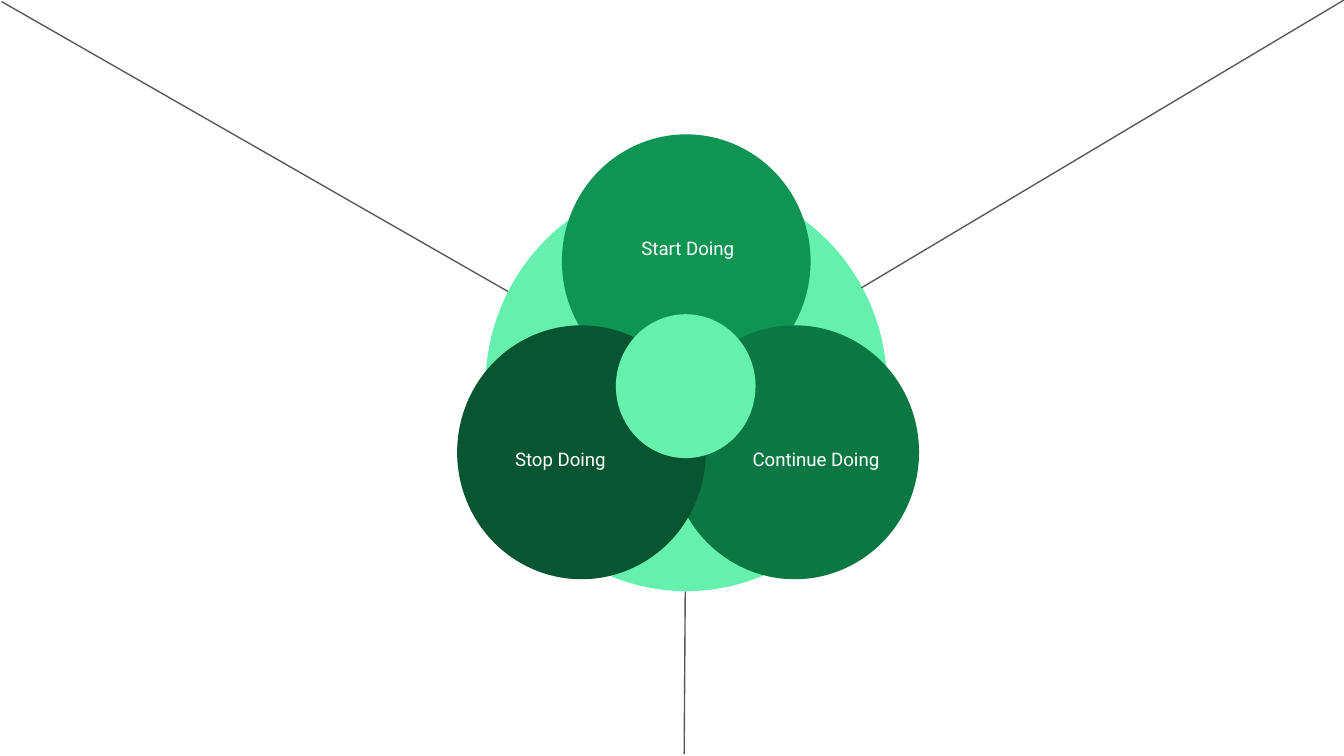
from lxml import etree
from pptx import Presentation
from pptx.dml.color import RGBColor
from pptx.enum.shapes import MSO_CONNECTOR, MSO_SHAPE
from pptx.enum.text import MSO_ANCHOR, PP_ALIGN
from pptx.oxml.ns import qn
from pptx.util import Cm, Pt

OVAL = MSO_SHAPE.OVAL
STRAIGHT = MSO_CONNECTOR.STRAIGHT
MIDDLE = MSO_ANCHOR.MIDDLE
CENTER = PP_ALIGN.CENTER

THEME = {
    "mint": RGBColor.from_string("65F0AD"),
    "start": RGBColor.from_string("0E9453"),
    "continue": RGBColor.from_string("0B7743"),
    "stop": RGBColor.from_string("085631"),
    "text": RGBColor.from_string("FFFFFF"),
    "line": RGBColor.from_string("595959"),
    "font": "Roboto",
    "size": Pt(10),
    "line_width": Pt(0.75),
}

SLIDE_SIZE = (25.4, 14.29)
BASE = (12.97, 7.3, 7.59, 7.75)
HUB = (12.96, 7.3, 2.64, 2.72)
PETAL_SIZE = (4.7, 4.8)
LABEL_SIZE = (3.25, 1.55)
PETALS = [
    {"text": "Start Doing", "color": "start", "center": (12.97, 4.94), "label": (13.0, 4.69)},
    {"text": "Continue Doing", "color": "continue", "center": (15.02, 8.55), "label": (15.42, 8.68)},
    {"text": "Stop Doing", "color": "stop", "center": (10.99, 8.55), "label": (10.59, 8.68)},
]
DIVIDERS = [
    ((0.03, 0.03), (9.6, 5.51)),
    ((25.4, 0), (16.28, 5.44)),
    ((12.95, 11.18), (12.93, 14.25)),
]


def centered(x, y, w, h):
    return Cm(x - w / 2), Cm(y - h / 2), Cm(w), Cm(h)


def apply(obj, values):
    for name, value in values.items():
        setattr(obj, name, value)


def add_circle(s, x, y, w, h, color):
    sp = s.shapes.add_shape(OVAL, *centered(x, y, w, h))
    sp.shadow.inherit = False
    sp.fill.solid()
    sp.fill.fore_color.rgb = THEME[color]
    sp.line.fill.background()


def add_label(s, x, y, text):
    sp = s.shapes.add_textbox(*centered(x, y, *LABEL_SIZE))
    tf = sp.text_frame
    inset = Cm(0.25)
    apply(tf, {
        "word_wrap": True, "vertical_anchor": MIDDLE,
        "margin_left": inset, "margin_right": inset,
        "margin_top": inset, "margin_bottom": inset,
    })
    p = tf.paragraphs[0]
    p.alignment = CENTER
    r = p.add_run()
    r.text = text
    apply(r.font, {"name": THEME["font"], "size": THEME["size"]})
    r.font.color.rgb = THEME["text"]


def add_divider(s, start, end):
    cx = s.shapes.add_connector(STRAIGHT, *(Cm(v) for v in start + end))
    cx.line.color.rgb = THEME["line"]
    cx.line.width = THEME["line_width"]
    etree.SubElement(cx._element.spPr, qn("a:effectLst"))


def main():
    prs = Presentation()
    prs.slide_width, prs.slide_height = (Cm(v) for v in SLIDE_SIZE)
    s = prs.slides.add_slide(prs.slide_layouts[6])
    add_circle(s, *BASE, "mint")
    for petal in PETALS:
        add_circle(s, *petal["center"], *PETAL_SIZE, petal["color"])
        add_label(s, *petal["label"], petal["text"])
    add_circle(s, *HUB, "mint")
    for start, end in DIVIDERS:
        add_divider(s, start, end)
    prs.save("out.pptx")


if __name__ == "__main__":
    main()
